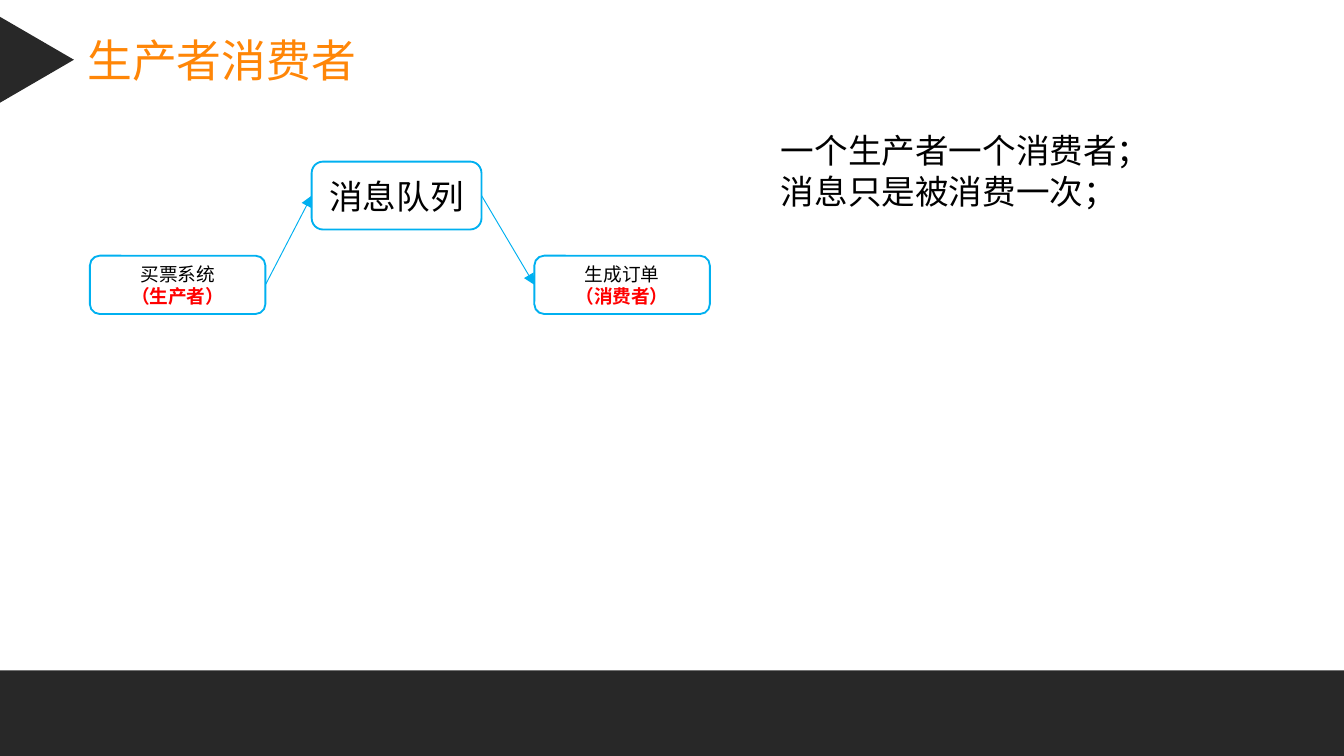
import pptx
import pptx.util
import pptx.dml.color
import pptx.enum.shapes
import pptx.enum.text
import pptx.oxml
import pptx.oxml.ns

Pt = pptx.util.Pt
RGB = pptx.dml.color.RGBColor
KIND = pptx.enum.shapes.MSO_SHAPE
ALIGN = pptx.enum.text.PP_ALIGN
ANCHOR = pptx.enum.text.MSO_ANCHOR

DARK = RGB(0x28, 0x28, 0x28)
ORANGE = RGB(0xFF, 0x86, 0x07)
BLUE = RGB(0x00, 0xB0, 0xF0)
RED = RGB(0xFF, 0x00, 0x00)
BLACK = RGB(0x00, 0x00, 0x00)
SANS = "Noto Sans CJK SC"
HEAD = "Roboto Condensed"
LEFT, RIGHT = 1, 3  # connection sites of a box


def tag(parent, name, **attrs):
    """Append a drawing element to a parent."""
    node = pptx.oxml.parse_xml(f"<a:{name} {pptx.oxml.ns.nsdecls('a')}/>")
    for key, value in attrs.items():
        node.set(key, value)
    parent.append(node)


def write(para, text, size=18, color=BLACK, font=SANS, bold=False, align=ALIGN.LEFT):
    """Write one formatted line into a paragraph."""
    para.alignment = align
    para.space_before = Pt(0)
    run = para.add_run()
    run.text = text
    run.font.size = Pt(size)
    run.font.bold = bold
    run.font.color.rgb = color
    run.font.name = font
    tag(run.font._element, "ea", typeface=font)


def place(shape, left, top, width, height):
    """Move and size a placeholder."""
    shape.left, shape.top = Pt(left), Pt(top)
    shape.width, shape.height = Pt(width), Pt(height)


def block(slide, kind, left, top, width, height):
    """Add a plain dark shape."""
    shape = slide.shapes.add_shape(kind, Pt(left), Pt(top), Pt(width), Pt(height))
    shape.shadow.inherit = False
    shape.fill.solid()
    shape.fill.fore_color.rgb = DARK
    shape.line.fill.background()
    return shape


def node(slide, left, top, width, height, text, size, role=None):
    """Add an outlined box with a name and, if given, a role."""
    shape = block(slide, KIND.ROUNDED_RECTANGLE, left, top, width, height)
    shape.fill.background()
    shape.line.color.rgb = BLUE
    shape.line.width = Pt(1)
    frame = shape.text_frame
    frame.vertical_anchor = ANCHOR.MIDDLE
    write(frame.paragraphs[0], text, size=size, align=ALIGN.CENTER)
    if role:
        write(frame.add_paragraph(), role, size=size, color=RED, bold=True,
              align=ALIGN.CENTER)
    return shape


def arrow(slide, start, end):
    """Join the right side of one box to the left side of the next."""
    line = slide.shapes.add_connector(
        pptx.enum.shapes.MSO_CONNECTOR.STRAIGHT, 0, 0, 0, 0)
    line.begin_connect(start, RIGHT)
    line.end_connect(end, LEFT)
    line.line.color.rgb = BLUE
    line.line.width = Pt(0.5)
    tag(line.line._get_or_add_ln(), "tailEnd", type="triangle")
    tag(line._element.spPr, "effectLst")


def title(slide, text):
    """Fill the title placeholder."""
    shape = slide.shapes.title
    place(shape, 39.6, 13.7, 160, 36)
    frame = shape.text_frame
    frame.word_wrap = False
    frame.vertical_anchor = ANCHOR.TOP
    write(frame.paragraphs[0], text, size=24, color=ORANGE, font=HEAD)


def notes(slide, lines):
    """Fill the body placeholder with lines that have no bullets."""
    shape = slide.placeholders[1]
    place(shape, 411.1, 66.2, 209.5, 51)
    frame = shape.text_frame
    frame.auto_size = pptx.enum.text.MSO_AUTO_SIZE.NONE
    for i, text in enumerate(lines):
        para = frame.add_paragraph() if i else frame.paragraphs[0]
        write(para, text)
        props = para._p.get_or_add_pPr()
        props.set("marL", "0")
        props.set("indent", "0")
        tag(props, "buNone")


def main():
    """Build the slide and save it."""
    deck = pptx.Presentation()
    deck.slide_width, deck.slide_height = Pt(720), Pt(405)
    slide = deck.slides.add_slide(deck.slide_layouts[1])

    block(slide, KIND.RECTANGLE, 0, 359.2, 720, 45.8)
    mark = block(slide, KIND.ISOSCELES_TRIANGLE, -3.2, 12.2, 46, 39.6)
    mark.rotation = 90
    title(slide, "生产者消费者")

    maker = node(slide, 48.2, 137, 94, 31.2, "买票系统", 10, "（生产者）")
    queue = node(slide, 167, 86.6, 91, 36.4, "消息队列", 18)
    user = node(slide, 286.3, 137, 94, 31.2, "生成订单", 10, "（消费者）")
    arrow(slide, maker, queue)
    arrow(slide, queue, user)

    notes(slide, ["一个生产者一个消费者；", "消息只是被消费一次；"])
    deck.save("out.pptx")


main()
